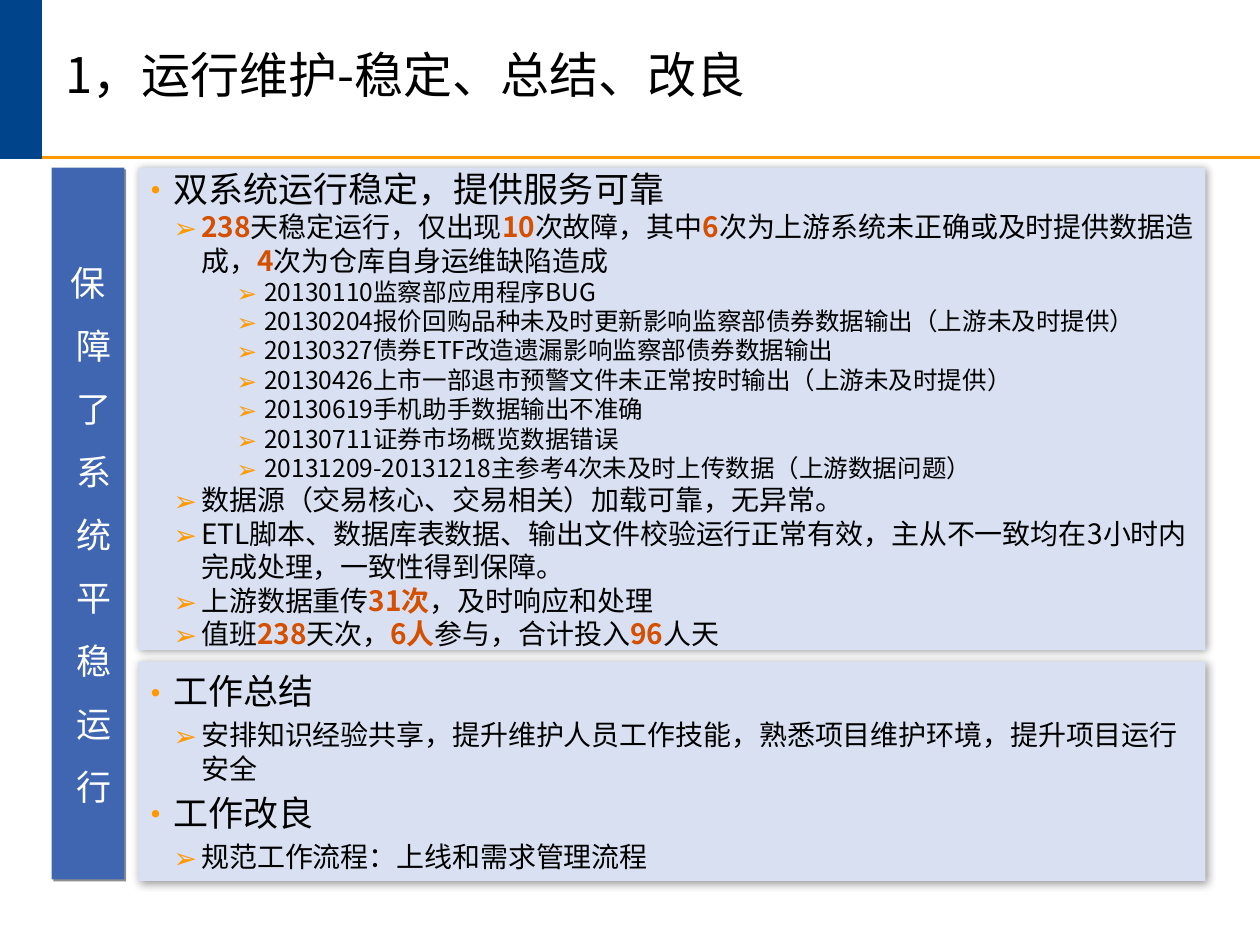
from dataclasses import dataclass

from lxml import etree
from pptx import Presentation
from pptx import util as u
from pptx.dml.color import RGBColor
from pptx.enum import shapes, text
from pptx.oxml import ns

FONT = "Noto Sans CJK SC"
BLACK = RGBColor(0x00, 0x00, 0x00)
WHITE = RGBColor(0xFF, 0xFF, 0xFF)
NAVY = RGBColor(0x00, 0x45, 0x8C)
BLUE = RGBColor(0x40, 0x66, 0xB2)
PALE_BLUE = RGBColor(0xD8, 0xE0, 0xF1)
ORANGE = RGBColor(0xFF, 0x99, 0x00)
RUST = RGBColor(0xD4, 0x50, 0x00)
HEADER_HEIGHT = 3.18


@dataclass(frozen=True)
class Box:
    left: float
    top: float
    width: float
    height: float

    def lengths(self) -> list:
        return [u.Cm(n) for n in (self.left, self.top, self.width, self.height)]


@dataclass(frozen=True)
class Level:
    bullet: str
    size: int
    margin: float
    hanging: float


@dataclass(frozen=True)
class Item:
    level: int
    words: str


@dataclass(frozen=True)
class Panel:
    box: Box
    spacing: float
    items: tuple


LEVELS = (
    Level("•", 20, 0.6, 0.6),
    Level("➢", 16, 1.27, 0.56),
    Level("➢", 14, 2.54, 0.56),
)

PANELS = (
    Panel(Box(2.79, 3.38, 21.51, 9.73), 0, (
        Item(0, "双系统运行稳定，提供服务可靠"),
        Item(1, "*238*天稳定运行，仅出现*10*次故障，其中*6*次为上游系统未正确或及时提供数据造成，"
                "*4*次为仓库自身运维缺陷造成"),
        Item(2, "20130110监察部应用程序BUG"),
        Item(2, "20130204报价回购品种未及时更新影响监察部债券数据输出（上游未及时提供）"),
        Item(2, "20130327债券ETF改造遗漏影响监察部债券数据输出"),
        Item(2, "20130426上市一部退市预警文件未正常按时输出（上游未及时提供）"),
        Item(2, "20130619手机助手数据输出不准确"),
        Item(2, "20130711证券市场概览数据错误"),
        Item(2, "20131209-20131218主参考4次未及时上传数据（上游数据问题）"),
        Item(1, "数据源（交易核心、交易相关）加载可靠，无异常。"),
        Item(1, "ETL脚本、数据库表数据、输出文件校验运行正常有效，主从不一致均在3小时内完成处理，一致性得到保障。"),
        Item(1, "上游数据重传*31次*，及时响应和处理"),
        Item(1, "值班*238*天次，*6人*参与，合计投入*96*人天"),
    )),
    Panel(Box(2.79, 13.34, 21.51, 4.42), 0.2, (
        Item(0, "工作总结"),
        Item(1, "安排知识经验共享，提升维护人员工作技能，熟悉项目维护环境，提升项目运行安全"),
        Item(0, "工作改良"),
        Item(1, "规范工作流程：上线和需求管理流程"),
    )),
)


def apply(target, values: dict) -> None:
    for name, value in values.items():
        setattr(target, name, value)


def add_element(parent, tag: str, **attributes: str):
    element = etree.SubElement(parent, ns.qn(tag))
    for name, value in attributes.items():
        element.set(name, value)
    return element


def add_run(paragraph, words: str, size: float, color: RGBColor, bold: bool = False) -> None:
    run = paragraph.add_run()
    run.text = words
    apply(run.font, {"name": FONT, "size": u.Pt(size), "bold": bold})
    run.font.color.rgb = color
    add_element(run.font._element, "a:ea", typeface=FONT)


def add_rectangle(slide, box: Box, fill: RGBColor):
    shape = slide.shapes.add_shape(shapes.MSO_SHAPE.RECTANGLE, *box.lengths())
    shape.shadow.inherit = False
    shape.fill.solid()
    shape.fill.fore_color.rgb = fill
    shape.line.fill.background()
    return shape


def add_shadow(shape, blur: float, opacity: int) -> None:
    effects = shape._element.spPr.find(ns.qn("a:effectLst"))
    shadow = add_element(effects, "a:outerShdw", blurRad=str(u.Pt(blur)), dist=str(u.Pt(1.5)),
                         dir="2700000", algn="tl", rotWithShape="0")
    color = add_element(shadow, "a:srgbClr", val=str(BLACK))
    add_element(color, "a:alpha", val=str(opacity * 1000))


def set_indent(paragraph, margin: float, hanging: float) -> None:
    properties = paragraph._p.get_or_add_pPr()
    properties.set("marL", str(u.Cm(margin)))
    properties.set("indent", str(-u.Cm(hanging)))


def add_header(slide, width: int) -> None:
    rule = slide.shapes.add_connector(shapes.MSO_CONNECTOR.STRAIGHT, 0, u.Cm(HEADER_HEIGHT),
                                      width, u.Cm(HEADER_HEIGHT))
    rule.line.color.rgb = ORANGE
    rule.line.width = u.Pt(1.5)
    add_element(rule._element.spPr, "a:effectLst")

    block = add_rectangle(slide, Box(0, 0, 0.84, HEADER_HEIGHT), NAVY)
    block.line.color.rgb = NAVY
    block.line.width = u.Pt(1)

    title = slide.shapes.add_textbox(*Box(1.07, 0, 23.7, HEADER_HEIGHT).lengths())
    apply(title.text_frame, {"word_wrap": True, "vertical_anchor": text.MSO_ANCHOR.MIDDLE})
    paragraph = title.text_frame.paragraphs[0]
    paragraph.line_spacing = 0.85
    add_run(paragraph, "1，运行维护-稳定、总结、改良", 28, BLACK)


def add_side_banner(slide) -> None:
    banner = add_rectangle(slide, Box(1.04, 3.38, 1.47, 14.35), BLUE)
    add_shadow(banner, 0, 43)
    frame = banner.text_frame
    apply(frame, {"word_wrap": True, "vertical_anchor": text.MSO_ANCHOR.MIDDLE,
                  "margin_left": u.Cm(0.1), "margin_right": u.Cm(0.1),
                  "margin_top": u.Cm(0.25), "margin_bottom": u.Cm(0.25)})
    frame._txBody.bodyPr.set("vert", "wordArtVert")
    paragraph = frame.paragraphs[0]
    apply(paragraph, {"alignment": text.PP_ALIGN.CENTER, "line_spacing": 1.5})
    set_indent(paragraph, 0.25, 0.25)
    add_run(paragraph, "保障了系统平稳运行", 20, WHITE)


def add_item(paragraph, item: Item, space_before: float) -> None:
    level = LEVELS[item.level]
    apply(paragraph, {"level": item.level, "alignment": text.PP_ALIGN.LEFT,
                      "space_before": u.Pt(space_before)})
    set_indent(paragraph, level.margin, level.hanging)
    properties = paragraph._p.get_or_add_pPr()
    color = add_element(properties, "a:buClr")
    add_element(color, "a:srgbClr", val=str(ORANGE))
    add_element(properties, "a:buFont", typeface=FONT)
    add_element(properties, "a:buChar", char=level.bullet)
    for index, words in enumerate(item.words.split("*")):
        strong = index % 2 == 1
        if words:
            add_run(paragraph, words, level.size, RUST if strong else BLACK, strong)


def add_panel(slide, panel: Panel) -> None:
    shape = add_rectangle(slide, panel.box, PALE_BLUE)
    add_shadow(shape, 5, 40)
    frame = shape.text_frame
    apply(frame, {"word_wrap": True, "vertical_anchor": text.MSO_ANCHOR.MIDDLE,
                  "margin_left": 0, "margin_right": 0, "margin_top": 0, "margin_bottom": 0})
    for index, item in enumerate(panel.items):
        paragraph = frame.add_paragraph() if index else frame.paragraphs[0]
        space_before = panel.spacing * LEVELS[item.level].size if index else 0
        add_item(paragraph, item, space_before)


def main() -> None:
    presentation = Presentation()
    apply(presentation, {"slide_width": u.Cm(25.4), "slide_height": u.Cm(19.05)})
    slide = presentation.slides.add_slide(presentation.slide_layouts[6])
    add_header(slide, presentation.slide_width)
    add_side_banner(slide)
    for panel in PANELS:
        add_panel(slide, panel)
    presentation.save("out.pptx")


if __name__ == "__main__":
    main()
